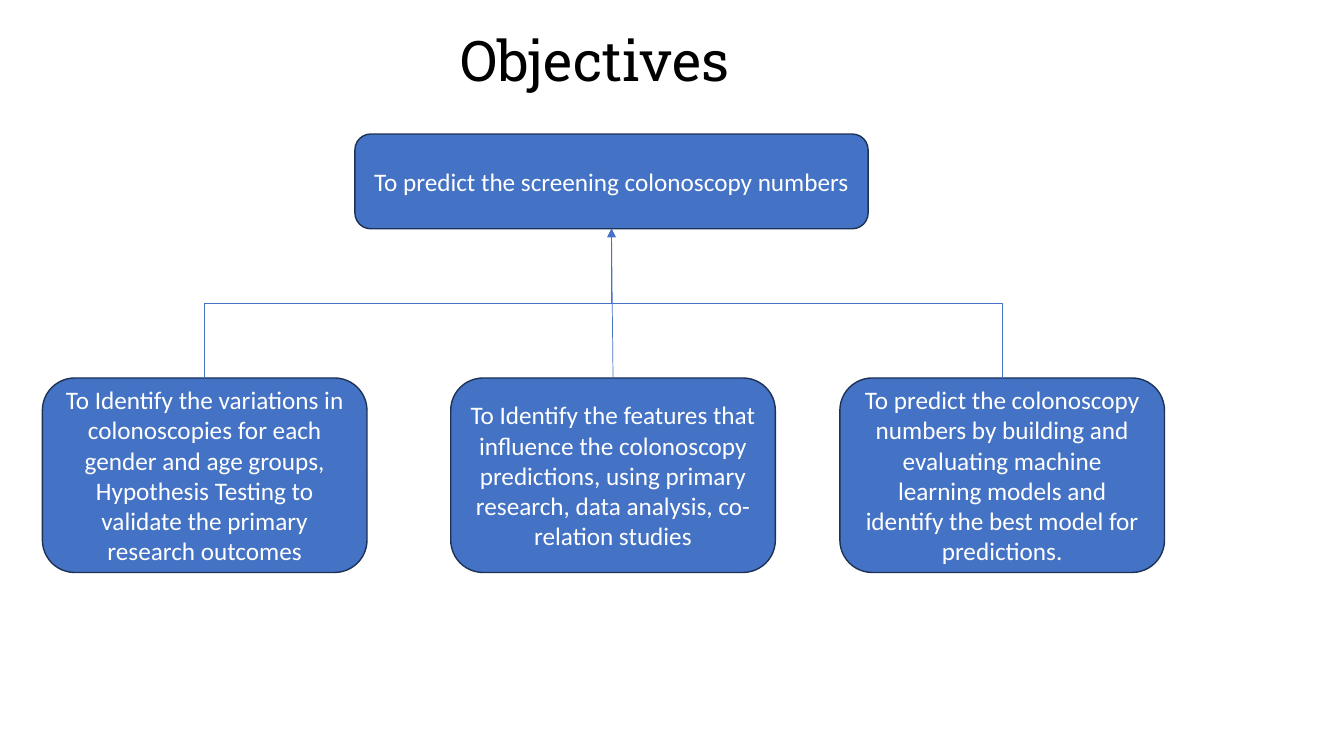
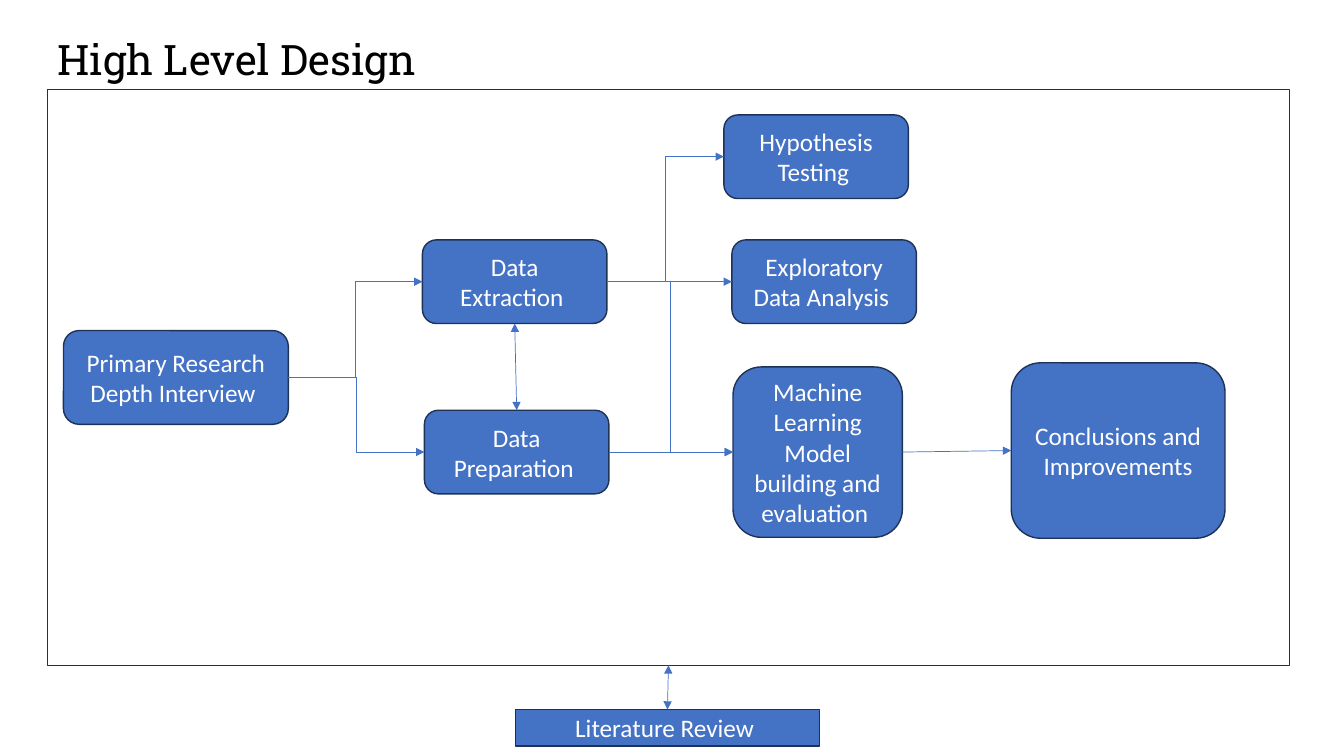
from pptx import Presentation
from pptx.dml.color import RGBColor
from pptx.enum.shapes import MSO_CONNECTOR as LINE, MSO_SHAPE as SHAPE
from pptx.enum.text import MSO_ANCHOR as ANCHOR, MSO_AUTO_SIZE as FIT, PP_ALIGN as ALIGN
from pptx.oxml.ns import qn
from pptx.util import Inches, Pt
from lxml.etree import SubElement

BLUE, NAVY, WHITE, BLACK = "4472C4", "1E3256", "FFFFFF", "000000"
TITLE_FONT, BODY_FONT = "Roboto Slab", "Calibri"
TOP, LEFT, BOTTOM, RIGHT = range(4)  # connection sites of a rectangle


def color(value):
    """Turn a hex string into a colour."""
    return RGBColor.from_string(value)


def add_span(para, text, size, font, ink):
    """Add one formatted run to a paragraph."""
    span = para.add_run()
    span.text = text
    span.font.size = Pt(size)
    span.font.name = font
    span.font.color.rgb = color(ink)


def add_title(page, text, left, top, width, height, size):
    """Add a slide title."""
    box = page.shapes.add_textbox(*map(Inches, (left, top, width, height)))
    frame = box.text_frame
    frame.word_wrap = True
    frame.auto_size = FIT.SHAPE_TO_FIT_TEXT
    add_span(frame.paragraphs[0], text, size, TITLE_FONT, BLACK)


def add_box(page, text, left, top, width, height, kind=SHAPE.ROUNDED_RECTANGLE, fill=BLUE):
    """Add an outlined box, with centred text if there is any."""
    box = page.shapes.add_shape(kind, *map(Inches, (left, top, width, height)))
    box.shadow.inherit = False
    box.fill.solid()
    box.fill.fore_color.rgb = color(fill)
    box.line.color.rgb = color(NAVY)
    box.line.width = Pt(1)
    if text:
        frame = box.text_frame
        frame.word_wrap = True
        frame.vertical_anchor = ANCHOR.MIDDLE
        para = frame.paragraphs[0]
        para.alignment = ALIGN.CENTER
        add_span(para, text, 18, BODY_FONT, WHITE)
    return box


def stand_up(line):
    """Turn an elbow so that it leaves its start upwards."""
    x1, y1, x2, y2 = line.begin_x, line.begin_y, line.end_x, line.end_y
    middle_x, middle_y = (x1 + x2) // 2, (y1 + y2) // 2
    half_rise, half_run = (y1 - y2) // 2, (x1 - x2) // 2
    line.begin_x, line.begin_y = middle_x - half_rise, middle_y + half_run
    line.end_x, line.end_y = middle_x + half_rise, middle_y - half_run
    line._element.spPr.find(qn("a:xfrm")).set("rot", str(270 * 60000))


def join(page, start, start_site, end, end_site, kind=LINE.STRAIGHT, both=False):
    """Draw an arrow between sites of two boxes, with one head or two."""
    line = page.shapes.add_connector(kind, 0, 0, 0, 0)
    line.begin_connect(start, start_site)
    line.end_connect(end, end_site)
    if kind == LINE.ELBOW and start_site == TOP:
        stand_up(line)
    line.line.color.rgb = color(BLUE)
    line.line.width = Pt(0.5)
    outline = line.line._get_or_add_ln()
    for tag in ("a:headEnd", "a:tailEnd") if both else ("a:tailEnd",):
        SubElement(outline, qn(tag)).set("type", "triangle")
    SubElement(line._element.spPr, qn("a:effectLst"))


def build_objectives(page):
    """Three objectives that lead up to the main one."""
    add_title(page, "Objectives", 4.47, 0.2, 3.55, 0.77, 40)
    goal = add_box(page, "To predict the screening colonoscopy numbers", 3.52, 1.33, 5.09, 0.94)
    steps = (
        (0.42, LINE.ELBOW, "To Identify the variations in colonoscopies for each gender and "
         "age groups, Hypothesis Testing to validate the primary research outcomes"),
        (4.47, LINE.STRAIGHT, "To Identify the features that influence the colonoscopy "
         "predictions, using primary research, data analysis, co-relation studies"),
        (8.33, LINE.ELBOW, "To predict the colonoscopy numbers by building and evaluating "
         "machine learning models and identify the best model for predictions."),
    )
    for left, kind, text in steps:
        step = add_box(page, text, left, 3.75, 3.22, 1.93)
        join(page, step, TOP, goal, BOTTOM, kind)


def build_design(page):
    """Flow from the research to the conclusions."""
    frame = add_box(page, "", 0.47, 0.89, 12.32, 5.71, SHAPE.RECTANGLE, WHITE)
    research = add_box(page, "Primary Research Depth Interview ", 0.63, 3.28, 2.23, 0.93)
    review = add_box(page, "Literature Review ", 5.11, 7.04, 3.02, 0.36, SHAPE.RECTANGLE)
    testing = add_box(page, "Hypothesis Testing ", 7.18, 1.14, 1.83, 0.83)
    extraction = add_box(page, "Data Extraction ", 4.19, 2.38, 1.83, 0.83)
    preparation = add_box(page, "Data Preparation ", 4.21, 4.07, 1.83, 0.83)
    model = add_box(page, "Machine Learning Model building and evaluation ",
                    7.27, 3.64, 1.68, 1.69)
    conclusions = add_box(page, "Conclusions and Improvements", 10.03, 3.6, 2.12, 1.74)
    analysis = add_box(page, "Exploratory Data Analysis ", 7.26, 2.38, 1.83, 0.83)

    for start, end, kind in (
        (research, extraction, LINE.ELBOW),
        (research, preparation, LINE.ELBOW),
        (extraction, testing, LINE.ELBOW),
        (extraction, analysis, LINE.STRAIGHT),
        (extraction, model, LINE.ELBOW),
        (preparation, model, LINE.STRAIGHT),
        (model, conclusions, LINE.STRAIGHT),
    ):
        join(page, start, RIGHT, end, LEFT, kind)
    for upper, lower in ((extraction, preparation), (frame, review)):
        join(page, upper, BOTTOM, lower, TOP, both=True)
    add_title(page, "High Level Design", 0.47, 0.28, 7.41, 0.61, 30)


def main():
    """Build and save the deck."""
    deck = Presentation()
    deck.slide_width, deck.slide_height = Inches(13.33), Inches(7.5)
    for build in (build_objectives, build_design):
        build(deck.slides.add_slide(deck.slide_layouts[6]))
    deck.save("out.pptx")


main()
